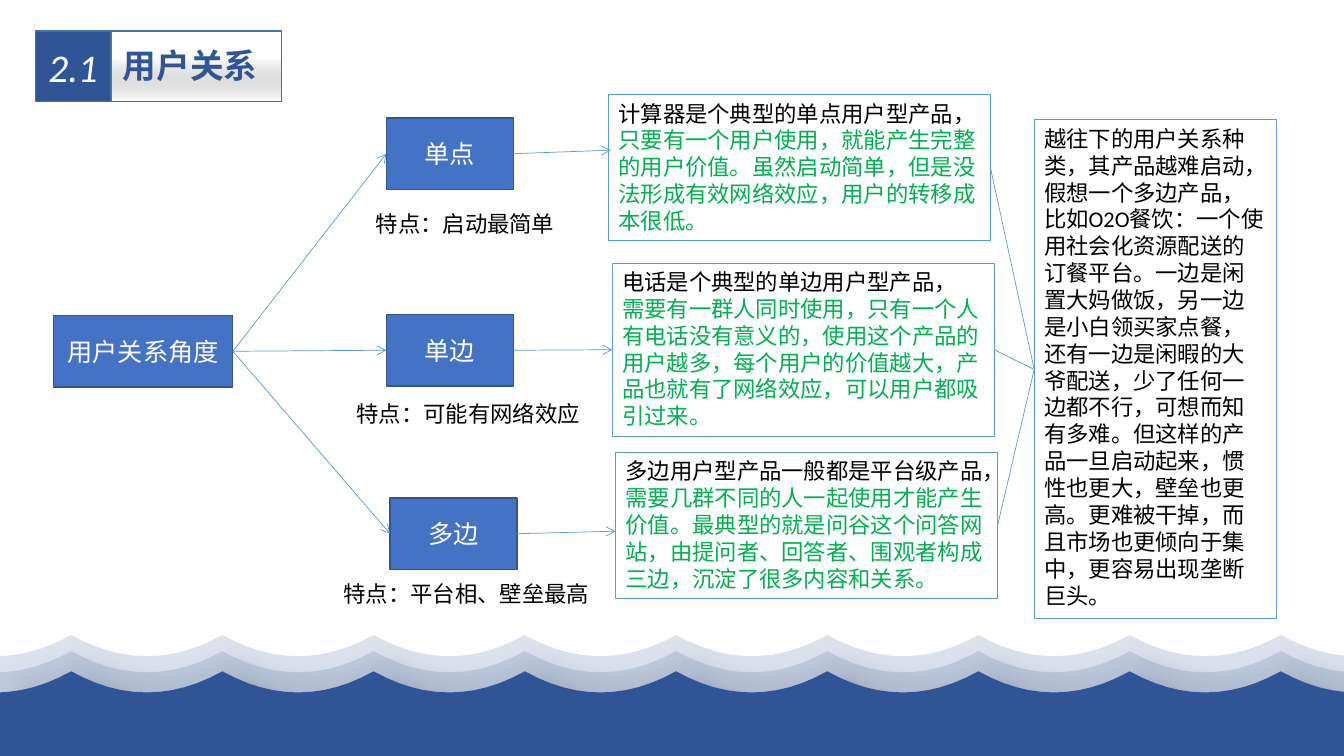
import pptx
import pptx.util
import pptx.dml.color
import pptx.enum.dml
import pptx.enum.lang
import pptx.enum.shapes
import pptx.enum.text
import pptx.oxml
import pptx.oxml.ns

COLORS = {
    "navy": "2F5597", "blue": "4472C4", "edge": "325491", "frame": "43739E",
    "sky": "5B9BD5", "green": "00B050", "black": "000000", "white": "FFFFFF", "gray": "808080",
}
RGB = {name: pptx.dml.color.RGBColor.from_string(code) for name, code in COLORS.items()}
NAMESPACE = pptx.oxml.ns.nsdecls("a")
CENTER = pptx.enum.text.PP_ALIGN.CENTER
LEFT = pptx.enum.text.PP_ALIGN.LEFT
MIDDLE = pptx.enum.text.MSO_ANCHOR.MIDDLE
TOP = pptx.enum.text.MSO_ANCHOR.TOP

presentation = pptx.Presentation()
presentation.slide_width = pptx.util.Emu(12192000)
presentation.slide_height = pptx.util.Emu(6858000)
COLUMN = presentation.slide_width // 40
ROW = presentation.slide_height // 30
slide = presentation.slides.add_slide(presentation.slide_layouts[5])


def add_box(place, paragraphs=(), fill=None, line=None, weight=0.75, align=LEFT, anchor=TOP, **font_values):
    left, top, width, height = place
    area = [round(value) for value in (left * COLUMN, top * ROW, width * COLUMN, height * ROW)]
    if fill or line:
        shape = slide.shapes.add_shape(pptx.enum.shapes.MSO_SHAPE.RECTANGLE, *area)
        shape.shadow.inherit = False
        shape.line.color.rgb = RGB[line]
        shape.line.width = pptx.util.Pt(weight)
        if fill:
            shape.fill.solid()
            shape.fill.fore_color.rgb = RGB[fill]
        else:
            shape.fill.background()
    else:
        shape = slide.shapes.add_textbox(*area)
    frame = shape.text_frame
    frame.word_wrap = True
    frame.vertical_anchor = anchor
    font_format = {"name": "Calibri", "size": pptx.util.Pt(16),
                   "language_id": pptx.enum.lang.MSO_LANGUAGE_ID.SIMPLIFIED_CHINESE, **font_values}
    for index, runs in enumerate(paragraphs):
        paragraph = frame.add_paragraph() if index else frame.paragraphs[0]
        paragraph.alignment = align
        for text, color in runs:
            run = paragraph.add_run()
            run.text = text
            for attribute, value in font_format.items():
                setattr(run.font, attribute, value)
            run.font.color.rgb = RGB[color]
            latin = run.font._element.find(pptx.oxml.ns.qn("a:latin"))
            latin.addnext(pptx.oxml.parse_xml(f'<a:ea {NAMESPACE} typeface="Calibri"/>'))
    return shape


def add_link(source, target, end=None, arrow=True):
    column, row = end or (0, 0)
    link = slide.shapes.add_connector(
        pptx.enum.shapes.MSO_CONNECTOR.STRAIGHT, source.left + source.width,
        source.top + source.height // 2, round(column * COLUMN), round(row * ROW))
    link.begin_connect(source, 3)
    if not end:
        link.end_connect(target, 1)
    link.line.color.rgb = RGB["sky"]
    link.line.width = pptx.util.Pt(0.5)
    if arrow:
        link.line._get_or_add_ln().append(
            pptx.oxml.parse_xml(f'<a:tailEnd {NAMESPACE} type="arrow"/>'))
    link.element.spPr.append(pptx.oxml.parse_xml(f"<a:effectLst {NAMESPACE}/>"))


CREST, PERIOD, DEPTH, STEPS, WAVE_HEIGHT = 2.12, 4.5, 0.84, 12, 13
wave_columns = [0] + [CREST + PERIOD * step / STEPS for step in range(-5, 101)] + [40]
for wave_top, opacity in ((25.2, 17), (25.84, 17), (26.64, 100)):
    outline = []
    for column in wave_columns:
        phase = (column - CREST) / PERIOD % 1
        outline.append((column * COLUMN, (wave_top + 4 * DEPTH * phase * (1 - phase)) * ROW))
    bottom = (wave_top + WAVE_HEIGHT) * ROW
    outline += [(40 * COLUMN, bottom), (0, bottom)]
    builder = slide.shapes.build_freeform(*outline[0])
    builder.add_line_segments(outline[1:], close=True)
    wave = builder.convert_to_shape()
    wave.fill.solid()
    wave.fill.fore_color.rgb = RGB["navy"]
    wave.line.fill.background()
    wave.shadow.inherit = False
    properties = wave.element.spPr
    if opacity < 100:
        properties.find(".//" + pptx.oxml.ns.qn("a:srgbClr")).append(
            pptx.oxml.parse_xml(f'<a:alpha {NAMESPACE} val="{opacity * 1000}"/>'))
    properties.find(pptx.oxml.ns.qn("a:effectLst")).append(pptx.oxml.parse_xml(
        f'<a:outerShdw {NAMESPACE} blurRad="{pptx.util.Pt(15)}" dist="{pptx.util.Pt(18)}" '
        f'dir="2700000" algn="tl" rotWithShape="0"><a:srgbClr val="{COLORS["black"]}">'
        '<a:alpha val="30000"/></a:srgbClr></a:outerShdw>'))

title_box = add_box((3.3, 1.24, 5.07, 2.8), fill="white", line="frame", weight=1)
title_box.fill.gradient()
title_box.fill.gradient_angle = 270
for stop, position, color in zip(title_box.fill.gradient_stops, (0.38, 1), ("white", "gray")):
    stop.position = position
    stop.color.rgb = RGB[color]
gray_stop = title_box.element.spPr.findall(".//" + pptx.oxml.ns.qn("a:gs"))[1]
gray_stop[0].append(pptx.oxml.parse_xml(f'<a:alpha {NAMESPACE} val="0"/>'))

title = slide.shapes.title
title_box.element.addnext(title.element)
title_place = {"left": 3.36 * COLUMN, "top": 1.6 * ROW, "width": 4.68 * COLUMN, "height": 2 * ROW}
for attribute, value in title_place.items():
    setattr(title, attribute, round(value))
title.text_frame.text = "用户关系"
title.text_frame.word_wrap = False
title.text_frame.vertical_anchor = MIDDLE
title.text_frame.paragraphs[0].alignment = LEFT
title_font = title.text_frame.paragraphs[0].runs[0].font
for attribute, value in {"name": "Noto Sans CJK SC", "size": pptx.util.Pt(24), "bold": True}.items():
    setattr(title_font, attribute, value)
title_font.color.rgb = RGB["navy"]
title_font._element.find(pptx.oxml.ns.qn("a:latin")).addnext(
    pptx.oxml.parse_xml(f'<a:ea {NAMESPACE} typeface="Noto Sans CJK SC"/>'))

centered = {"align": CENTER, "anchor": MIDDLE, "weight": 1}
node_format = {**centered, "fill": "blue", "line": "edge", "size": pptx.util.Pt(18)}
add_box((1.05, 1.24, 2.25, 2.8), [[("2.1", "white")]], fill="navy", line="frame",
        size=pptx.util.Pt(28), italic=True, **centered)
root = add_box((1.59, 12.52, 5.34, 2.84), [[("用户关系角度", "white")]], **node_format)
summary = add_box((30.78, 4.76, 7.21, 19.8), [[(
    "越往下的用户关系种类，其产品越难启动，假想一个多边产品，比如O2O餐饮：一个使用社会化资源配送的订餐平台。"
    "一边是闲置大妈做饭，另一边是小白领买家点餐，还有一边是闲暇的大爷配送，少了任何一边都不行，可想而知有多难。"
    "但这样的产品一旦启动起来，惯性也更大，壁垒也更高。更难被干掉，而且市场也更倾向于集中，更容易出现垄断巨头。",
    "black")]], line="sky")

branches = [
    ("单点", (11.5, 4.68), "特点：启动最简单", (10.89, 8.16, 7.2, 1.48),
     (18.11, 3.76, 11.37, 5.8), (18.18, 5.96),
     [[("计算器是个典型的单点用户型产品，", "black"),
       ("只要有一个用户使用，就能产生完整的用户价值。虽然启动简单，但是没法形成有效网络效应，"
        "用户的转移成本很低。", "green")]]),
    ("单边", (11.5, 12.48), "特点：可能有网络效应", (10.32, 15.68, 7.71, 1.48),
     (18.22, 10.44, 11.37, 6.88), None,
     [[("电话是个典型的单边用户型产品，", "black")],
      [("需要有一群人同时使用，只有一个人有电话没有意义的，使用这个产品的用户越多，"
        "每个用户的价值越大，产品也就有了网络效应，可以用户都吸引过来。", "green")]]),
    ("多边", (11.61, 19.76), "特点：平台相、壁垒最高", (9.93, 22.84, 7.95, 1.48),
     (18.32, 17.96, 11.37, 5.8), (18.32, 21.08),
     [[("多边用户型产品一般都是平台级产品，", "black"),
       ("需要几群不同的人一起使用才能产生价值。最典型的就是问谷这个问答网站，"
        "由提问者、回答者、围观者构成三边，沉淀了很多内容和关系。", "green")]]),
]
for name, corner, feature, feature_place, example_place, arrow_end, example_text in branches:
    node = add_box((*corner, 3.78, 2.84), [[(name, "white")]], **node_format)
    example = add_box(example_place, example_text, line="sky")
    add_box(feature_place, [[(feature, "black")]])
    add_link(root, node)
    add_link(node, example, arrow_end)
    add_link(example, summary, arrow=False)

presentation.save("out.pptx")
